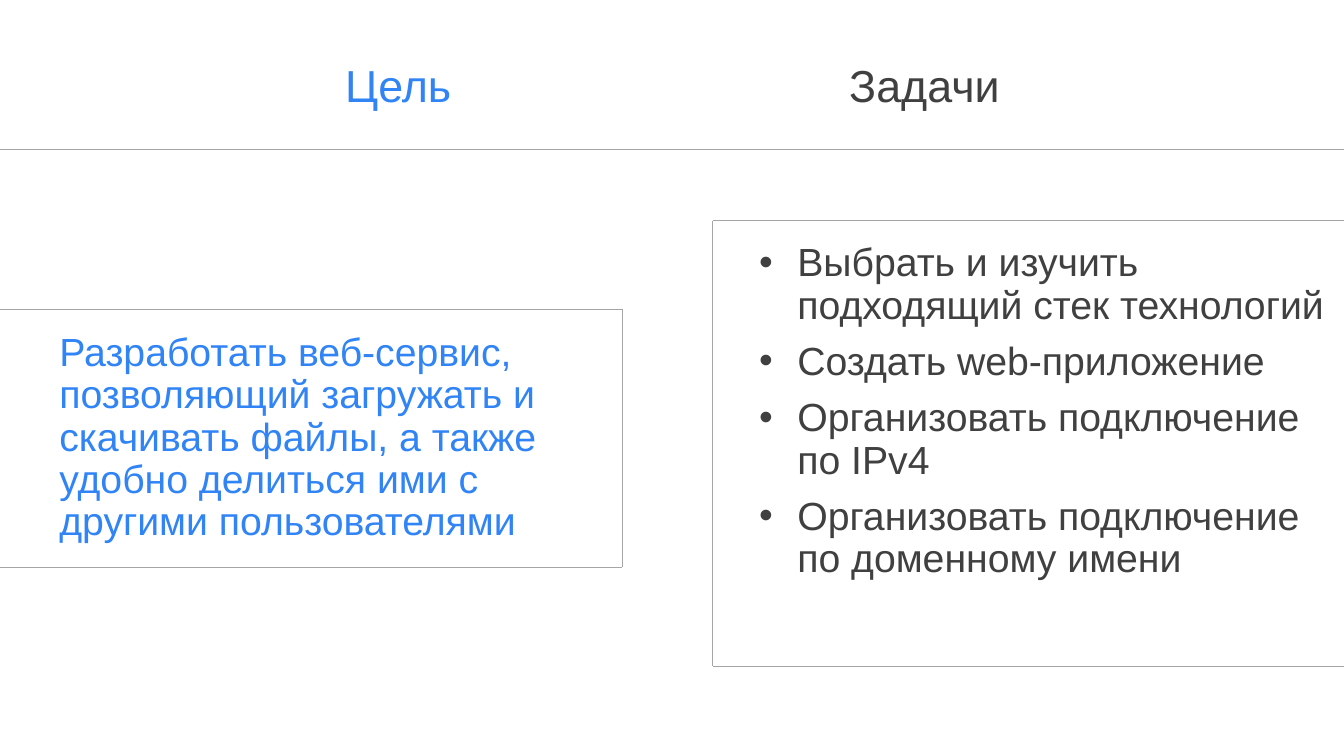
from lxml import etree
from pptx import Presentation, util as u
from pptx.dml.color import RGBColor
from pptx.enum import shapes, text
from pptx.oxml.ns import qn

BLUE = RGBColor(0x31, 0x84, 0xF5)
DARK = RGBColor(0x40, 0x40, 0x40)
GREY = RGBColor(0xA5, 0xA5, 0xA5)
WIDTH, HEIGHT = 13.33, 7.5
HANGING = 0.38

GOAL = "Разработать веб-сервис, позволяющий загружать и скачивать файлы, а также удобно делиться ими с другими пользователями"
TASKS = [
    "Выбрать и изучить подходящий стек технологий",
    "Создать web-приложение",
    "Организовать подключение по IPv4",
    "Организовать подключение по доменному имени",
]
HEADINGS = [("Цель", BLUE, 3.95), ("Задачи", DARK, 9.17)]
HEADING_TOP, HEADING_WIDTH, HEADING_HEIGHT = 0.58, 4, 0.56
BODIES = [
    ([GOAL], BLUE, (0.49, 3.25, 5.68, 2.22), False),
    (TASKS, DARK, (7.43, 2.36, 5.85, 4.1), True),
]
DIVIDER_Y = 1.48
FRAMES = [(0, 6.17, 3.07, 5.63, 6.17), (7.07, WIDTH, 2.19, 6.61, 7.07)]


def add_text(slide, box, paragraphs, size, color, align, bulleted=False):
    frame = slide.shapes.add_textbox(*map(u.Inches, box)).text_frame
    frame.word_wrap = True
    for index, wording in enumerate(paragraphs):
        paragraph = frame.add_paragraph() if index else frame.paragraphs[0]
        paragraph.alignment = align
        paragraph.line_spacing = 0.9
        paragraph.space_before = u.Pt(10)
        if bulleted:
            props = paragraph._p.get_or_add_pPr()
            props.set("marL", str(u.Inches(HANGING)))
            props.set("indent", str(-u.Inches(HANGING)))
            etree.SubElement(props, qn("a:buFont")).set("typeface", "Arial")
            etree.SubElement(props, qn("a:buChar")).set("char", "•")
        run = paragraph.add_run()
        run.text = wording
        run.font.name = "Arial"
        run.font.size = u.Pt(size)
        run.font.color.rgb = color


def add_line(slide, *ends):
    line = slide.shapes.add_connector(
        shapes.MSO_CONNECTOR.STRAIGHT, *map(u.Inches, ends))
    line.line.color.rgb = GREY
    line.line.width = u.Pt(0.5)
    etree.SubElement(line._element.spPr, qn("a:effectLst"))


def main():
    """Build the goal and tasks slide."""
    deck = Presentation()
    deck.slide_width, deck.slide_height = u.Inches(WIDTH), u.Inches(HEIGHT)
    slide = deck.slides.add_slide(deck.slide_layouts[6])

    for heading, color, center in HEADINGS:
        box = (center - HEADING_WIDTH / 2, HEADING_TOP, HEADING_WIDTH, HEADING_HEIGHT)
        add_text(slide, box, [heading], 32, color, text.PP_ALIGN.CENTER)
    add_line(slide, 0, DIVIDER_Y, WIDTH, DIVIDER_Y)

    for paragraphs, color, box, bulleted in BODIES:
        add_text(slide, box, paragraphs, 28, color, text.PP_ALIGN.LEFT, bulleted)

    for left, right, top, bottom, side in FRAMES:
        for y in (top, bottom):
            add_line(slide, left, y, right, y)
        add_line(slide, side, top, side, bottom)

    deck.save("out.pptx")


if __name__ == "__main__":
    main()
